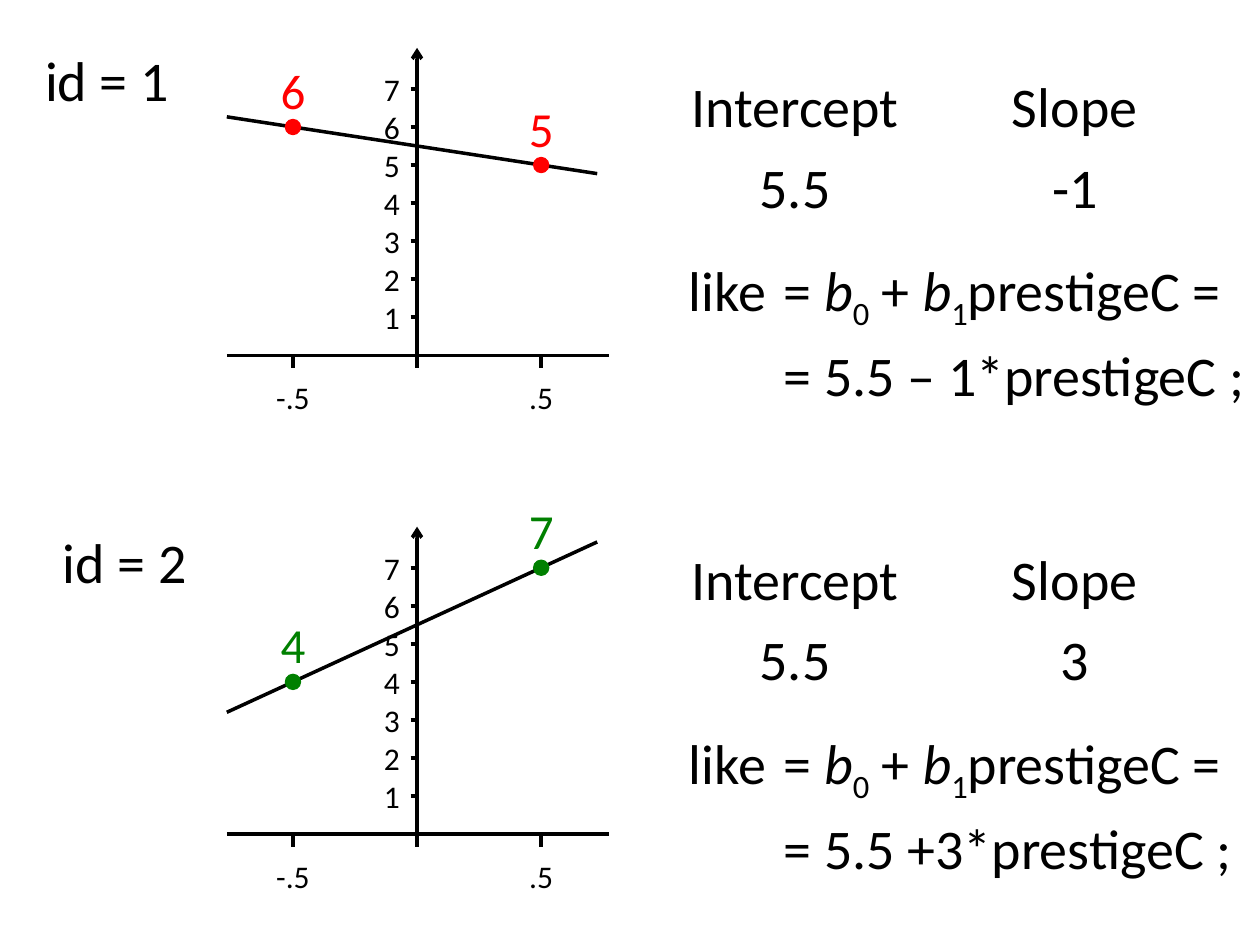
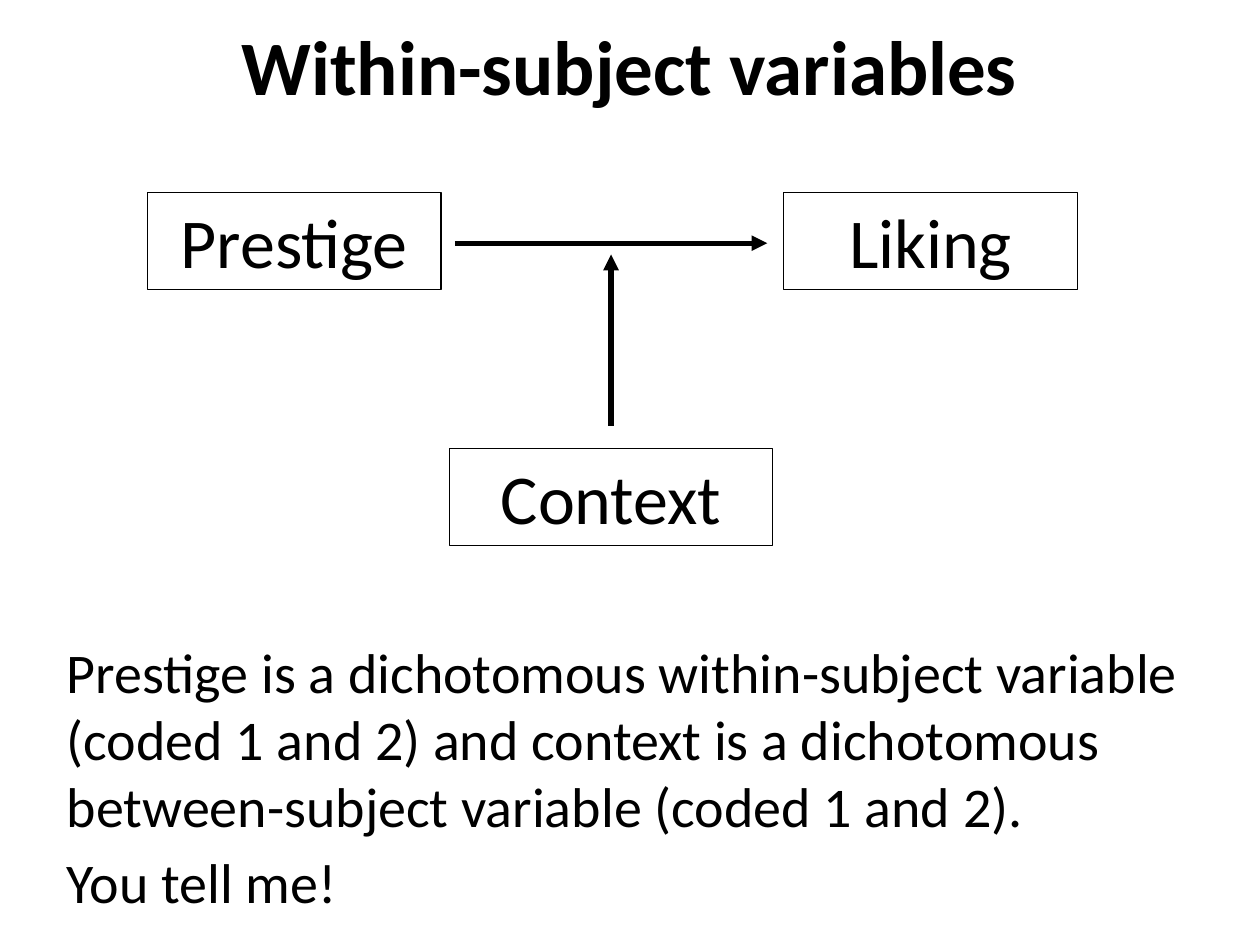
from pptx import Presentation
from pptx.dml.color import RGBColor
from pptx.enum.shapes import MSO_CONNECTOR, MSO_SHAPE
from pptx.enum.text import MSO_ANCHOR, PP_ALIGN
from pptx.oxml.ns import qn
from pptx.util import Inches, Pt
from lxml.etree import SubElement

BLACK = RGBColor(0, 0, 0)
RED = RGBColor(255, 0, 0)
GREEN = RGBColor(0, 128, 0)
FONT = "Calibri"

SUBJECTS = [
    {"id": "id = 1", "id_at": (0.26, 0.31), "base": 2.82, "table_top": 0.52, "color": RED,
     "low": 6, "high": 5, "equation": "5.5 – 1*prestigeC ;"},
    {"id": "id = 2", "id_at": (0.4, 4.14), "base": 6.62, "table_top": 4.27, "color": GREEN,
     "low": 4, "high": 7, "equation": "5.5 +3*prestigeC ;"},
]
MODEL = [("like\t= ", {}), ("b", {"italic": True}), ("0", {"sub": True}), (" + ", {}),
         ("b", {"italic": True}), ("1", {"sub": True}), ("prestigeC =", {})]
TICKS = [(-0.5, "-.5"), (0, ""), (0.5, ".5")]
TITLE = "Within-subject variables"
BOXES = [("Prestige", 1.17, 1.53, 2.33), ("Liking", 6.22, 1.53, 2.33), ("Context", 3.57, 3.56, 2.56)]
ARROWS = [((3.61, 1.93), (6.09, 1.93)), ((4.85, 3.38), (4.85, 2.02))]
BODY = [
    "Prestige is a dichotomous within-subject variable (coded 1 and 2) and context is "
    "a dichotomous between-subject variable (coded 1 and 2).",
    "You tell me!",
]

ORIGIN_X, UNIT_X, UNIT_Y = 3.31, 1.97, 0.302
AXIS_LEFT, AXIS_RIGHT, FIT_RIGHT, AXIS_HEIGHT = 1.8, 4.83, 4.74, 2.44
DOT = 0.12


def place(shape, *box):
    for name, value in zip(("left", "top", "width", "height"), box):
        setattr(shape, name, Inches(value))


def add_run(p, text, size, color=BLACK, sub=False, **look):
    r = p.add_run()
    r.text = text
    r.font.color.rgb = color
    for name, value in {"name": FONT, "size": Pt(size), **look}.items():
        setattr(r.font, name, value)
    if sub:
        r.font._element.set("baseline", "-25000")


def add_label(s, text, center, top, size, height=0.64, color=BLACK):
    width = 0.4 + len(text) * size / 180
    tf = s.shapes.add_textbox(*map(Inches, (center - width / 2, top, width, height))).text_frame
    p = tf.paragraphs[0]
    p.alignment = PP_ALIGN.CENTER
    add_run(p, text, size, color)


def add_line(s, start, end, width=2, arrow=None):
    line = s.shapes.add_connector(MSO_CONNECTOR.STRAIGHT, *map(Inches, (*start, *end)))
    line.line.color.rgb = BLACK
    line.line.width = Pt(width)
    if arrow:
        SubElement(line.line._get_or_add_ln(), qn("a:tailEnd"), type=arrow)
    SubElement(line._element.spPr, qn("a:effectLst"))


def add_graph(s, subject):
    base, color = subject["base"], subject["color"]
    slope = subject["high"] - subject["low"]
    intercept = (subject["high"] + subject["low"]) / 2

    def fit_point(x):
        value = intercept + slope * (x - ORIGIN_X) / UNIT_X
        return x, base - value * UNIT_Y

    add_line(s, (AXIS_LEFT, base), (AXIS_RIGHT, base))
    add_line(s, (ORIGIN_X, base), (ORIGIN_X, base - AXIS_HEIGHT), arrow="arrow")
    for value, text in TICKS:
        x = ORIGIN_X + value * UNIT_X
        add_line(s, (x, base), (x, base + 0.1))
        if text:
            add_label(s, text, x, base + 0.13, 18, 0.4)
    for value in range(8):
        y = base - value * UNIT_Y
        add_line(s, (ORIGIN_X - 0.05, y), (ORIGIN_X, y))
        if value:
            add_label(s, str(value), ORIGIN_X - 0.2, y - 0.2, 18, 0.4)
    add_line(s, fit_point(AXIS_LEFT), fit_point(FIT_RIGHT))
    for value, key in ((-0.5, "low"), (0.5, "high")):
        x, y = fit_point(ORIGIN_X + value * UNIT_X)
        dot = s.shapes.add_shape(MSO_SHAPE.OVAL, *map(Inches, (x - DOT / 2, y - DOT / 2, DOT, DOT)))
        dot.shadow.inherit = False
        dot.fill.solid()
        dot.fill.fore_color.rgb = dot.line.color.rgb = color
        dot.line.width = Pt(0.75)
        add_label(s, str(subject[key]), x, y - 0.58, 28, 0.57, color)

    top = subject["table_top"]
    for center, name, value in ((6.31, "Intercept", intercept), (8.53, "Slope", slope)):
        add_label(s, name, center, top, 32)
        add_label(s, str(value), center, top + 0.64, 32)


def add_equation(s, subject):
    box = (5.37, subject["table_top"] + 1.46, 4.63, 1.24)
    tf = s.shapes.add_textbox(*map(Inches, box)).text_frame
    tf.word_wrap = True
    tf.margin_right = 0
    for i, runs in enumerate((MODEL, [("\t= " + subject["equation"], {})])):
        p = tf.add_paragraph() if i else tf.paragraphs[0]
        p.space_before = Pt(5 * i)
        tabs = SubElement(p._p.get_or_add_pPr(), qn("a:tabLst"))
        SubElement(tabs, qn("a:tab"), pos=str(Inches(0.75)), algn="l")
        for text, look in runs:
            add_run(p, text, 32, **look)


def add_regression_slide(prs):
    s = prs.slides.add_slide(prs.slide_layouts[6])
    for subject in SUBJECTS:
        add_graph(s, subject)
        add_equation(s, subject)
        left, top = subject["id_at"]
        add_label(s, subject["id"], left + 0.59, top, 32)


def add_model_slide(prs):
    s = prs.slides.add_slide(prs.slide_layouts[1])
    title, body = s.placeholders
    place(title, 0, -0.02, 10, 1.06)
    title.text_frame.vertical_anchor = MSO_ANCHOR.MIDDLE
    p = title.text_frame.paragraphs[0]
    p.alignment = PP_ALIGN.CENTER
    add_run(p, TITLE, 44, bold=True)

    place(body, 0.43, 5.01, 9.33, 2.3)
    tf = body.text_frame
    for i, text in enumerate(BODY):
        p = tf.add_paragraph() if i else tf.paragraphs[0]
        p.space_before = Pt(5 * i)
        pPr = p._p.get_or_add_pPr()
        for name in ("marL", "indent"):
            pPr.set(name, "0")
        SubElement(pPr, qn("a:buNone"))
        add_run(p, text, 32)

    for text, left, top, width in BOXES:
        sp = s.shapes.add_shape(MSO_SHAPE.RECTANGLE, *map(Inches, (left, top, width, 0.77)))
        sp.shadow.inherit = False
        sp.fill.background()
        sp.line.color.rgb = BLACK
        sp.line.width = Pt(0.75)
        sp.text_frame.vertical_anchor = MSO_ANCHOR.TOP
        p = sp.text_frame.paragraphs[0]
        p.alignment = PP_ALIGN.CENTER
        add_run(p, text, 40)
    for start, end in ARROWS:
        add_line(s, start, end, 3, "triangle")


def main():
    prs = Presentation()
    prs.slide_width, prs.slide_height = Inches(10), Inches(7.5)
    add_regression_slide(prs)
    add_model_slide(prs)
    prs.save("out.pptx")


if __name__ == "__main__":
    main()
